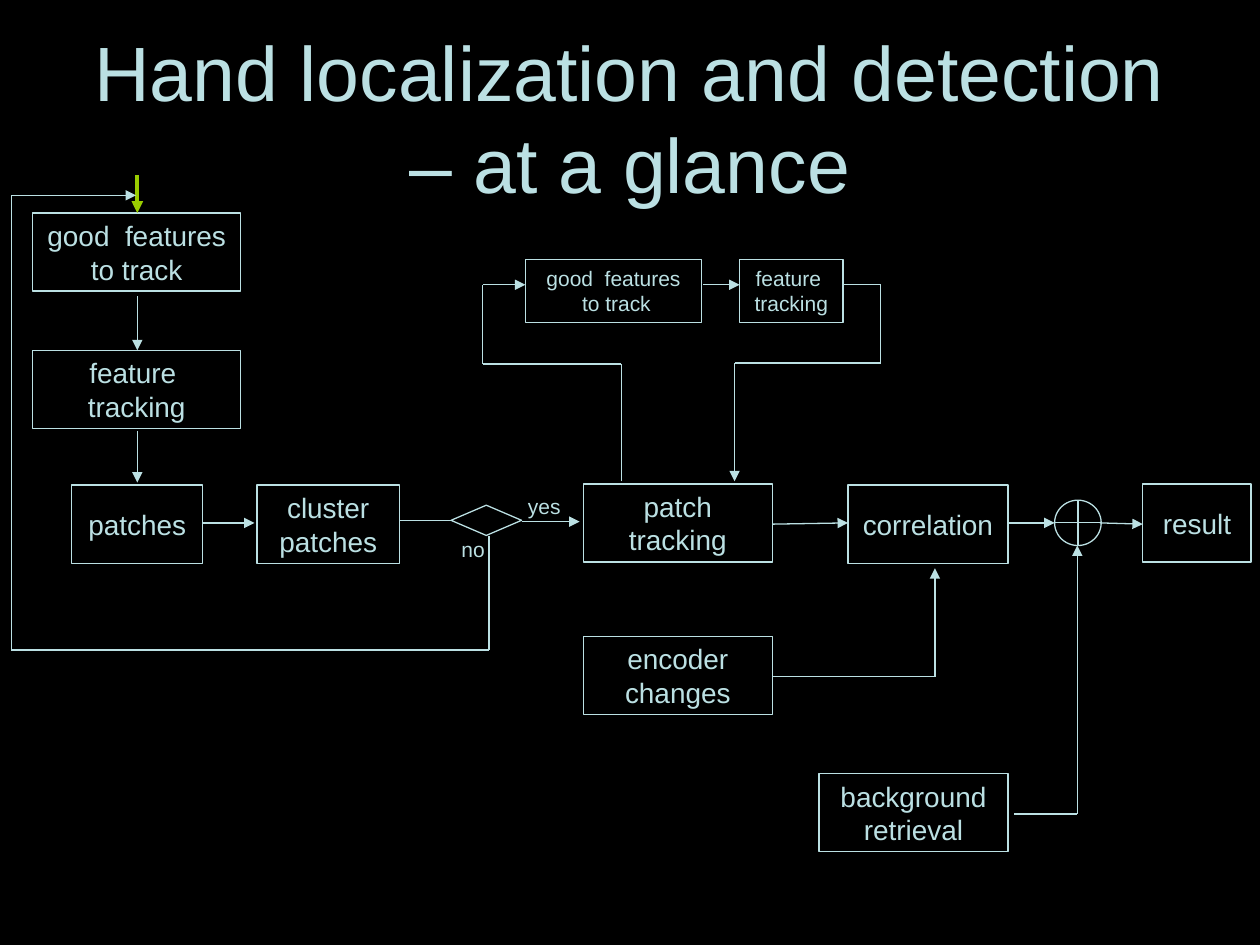
import pptx
import pptx.dml.color
import pptx.enum.shapes
import pptx.enum.text
import pptx.util
from lxml import etree

SLIDE_WIDTH, SLIDE_HEIGHT = 10, 7.5
COLUMNS = 100  # square grid cells across the slide; rows have the same size
CELL = SLIDE_WIDTH / COLUMNS
FONT = "Arial"
BLACK, PALE, GREEN = "000000", "BBE0E3", "99CC00"
BOX_HEIGHT = 6.2
SHAPES = pptx.enum.shapes.MSO_SHAPE
MIDDLE = pptx.enum.text.MSO_ANCHOR.MIDDLE
TOP = pptx.enum.text.MSO_ANCHOR.TOP


def color(hex_string):
    return pptx.dml.color.RGBColor.from_string(hex_string)


def grid(*cells):
    """Turn columns or rows of the grid into lengths."""
    return [pptx.util.Inches(cell * CELL) for cell in cells]


def write(shape, lines, size, anchor=MIDDLE, wrap=True):
    frame = shape.text_frame
    frame.word_wrap = wrap
    frame.vertical_anchor = anchor
    for index, line in enumerate(lines):
        paragraph = frame.add_paragraph() if index else frame.paragraphs[0]
        paragraph.alignment = pptx.enum.text.PP_ALIGN.CENTER
        run = paragraph.add_run()
        run.text = line
        run.font.name = FONT
        run.font.size = pptx.util.Pt(size)
        run.font.color.rgb = color(PALE)


def add_label(slide, area, text, size, anchor=TOP, wrap=True):
    write(slide.shapes.add_textbox(*grid(*area)), [text], size, anchor, wrap)


def add_outline(slide, kind, area):
    shape = slide.shapes.add_shape(kind, *grid(*area))
    shape.shadow.inherit = False
    shape.fill.background()
    shape.line.color.rgb = color(PALE)
    shape.line.width = pptx.util.Pt(0.75)
    return shape


def add_box(slide, left, top, width, lines, height=BOX_HEIGHT, size=16, anchor=MIDDLE):
    box = add_outline(slide, SHAPES.RECTANGLE, (left, top, width, height))
    write(box, lines, size, anchor)


def add_flow(slide, *points, arrow=True, line_color=PALE, width=0.75):
    """Join the points with straight lines; the last line may end in an arrowhead."""
    for start, end in zip(points, points[1:]):
        connector = slide.shapes.add_connector(
            pptx.enum.shapes.MSO_CONNECTOR.STRAIGHT, *grid(*start, *end))
        connector.line.color.rgb = color(line_color)
        connector.line.width = pptx.util.Pt(width)
        namespace = "{http://schemas.openxmlformats.org/drawingml/2006/main}"
        properties = connector.line._get_or_add_ln()
        if arrow and end == points[-1]:
            etree.SubElement(properties, namespace + "tailEnd", type="triangle")
        etree.SubElement(properties.getparent(), namespace + "effectLst")


def add_feature_column(slide):
    add_box(slide, 2.6, 16.9, 16.5, ["good  features to track"])
    add_box(slide, 2.6, 27.8, 16.5, ["feature ", "tracking"])
    add_box(slide, 5.7, 38.5, 10.4, ["patches"])
    add_flow(slide, (10.9, 23.5), (10.9, 27.8))
    add_flow(slide, (10.9, 34.2), (10.9, 38.3))
    add_flow(slide, (10.9, 13.9), (10.9, 16.9), line_color=GREEN, width=2.25)


def add_decision(slide):
    add_box(slide, 20.4, 38.5, 11.3, ["cluster patches"])
    add_outline(slide, SHAPES.FLOWCHART_DECISION, (35.8, 40.1, 5.6, 2.4))
    add_flow(slide, (16.1, 41.5), (20.2, 41.5))
    add_flow(slide, (31.7, 41.3), (35.8, 41.3), arrow=False)
    add_flow(slide, (41.4, 41.4), (46, 41.4))
    add_flow(slide, (38.8, 42.5), (38.8, 51.6), (0.9, 51.6), (0.9, 15.5), (10.8, 15.5))
    add_label(slide, (35.6, 42.1, 3.9, 3), "no", 12)
    add_label(slide, (40.9, 38.7, 4.6, 3), "yes", 12, wrap=False)


def add_patch_loop(slide):
    add_box(slide, 46.3, 38.4, 15, ["patch", "tracking"])
    add_box(slide, 41.7, 20.6, 14, ["good  features", " to track"], 5, 12, TOP)
    add_box(slide, 58.7, 20.6, 8.2, ["feature ", "tracking"], 5, 12, TOP)
    add_flow(slide, (49.3, 38.2), (49.3, 28.9), (38.3, 28.9), (38.3, 22.6), (41.7, 22.6))
    add_flow(slide, (55.8, 22.6), (58.7, 22.6))
    add_flow(slide, (67, 22.6), (69.9, 22.6), (69.9, 28.8), (58.3, 28.8), (58.3, 38.2))


def add_result_chain(slide):
    add_box(slide, 46.3, 50.5, 15, ["encoder", "changes"])
    add_box(slide, 67.3, 38.5, 12.7, ["correlation"])
    add_box(slide, 65, 61.4, 15, ["background", "retrieval"])
    add_box(slide, 90.7, 38.4, 8.6, ["result"])
    add_outline(slide, SHAPES.FLOWCHART_OR, (83.7, 39.7, 3.7, 3.6))
    add_flow(slide, (61.3, 41.6), (67.3, 41.5))
    add_flow(slide, (61.3, 53.7), (74.2, 53.7), (74.2, 45.1))
    add_flow(slide, (80.1, 41.5), (83.7, 41.5))
    add_flow(slide, (80.5, 64.6), (85.5, 64.6), (85.5, 43.3))
    add_flow(slide, (87.3, 41.5), (90.7, 41.6))


def main():
    presentation = pptx.Presentation()
    presentation.slide_width = pptx.util.Inches(SLIDE_WIDTH)
    presentation.slide_height = pptx.util.Inches(SLIDE_HEIGHT)
    slide = presentation.slides.add_slide(presentation.slide_layouts[6])
    slide.background.fill.solid()
    slide.background.fill.fore_color.rgb = color(BLACK)

    # Title
    add_label(slide, (5, 3, 90, 12.5), "Hand localization and detection – at a glance", 44, MIDDLE)

    # Flow chart, from left to right
    add_feature_column(slide)
    add_decision(slide)
    add_patch_loop(slide)
    add_result_chain(slide)

    presentation.save("out.pptx")


if __name__ == "__main__":
    main()
